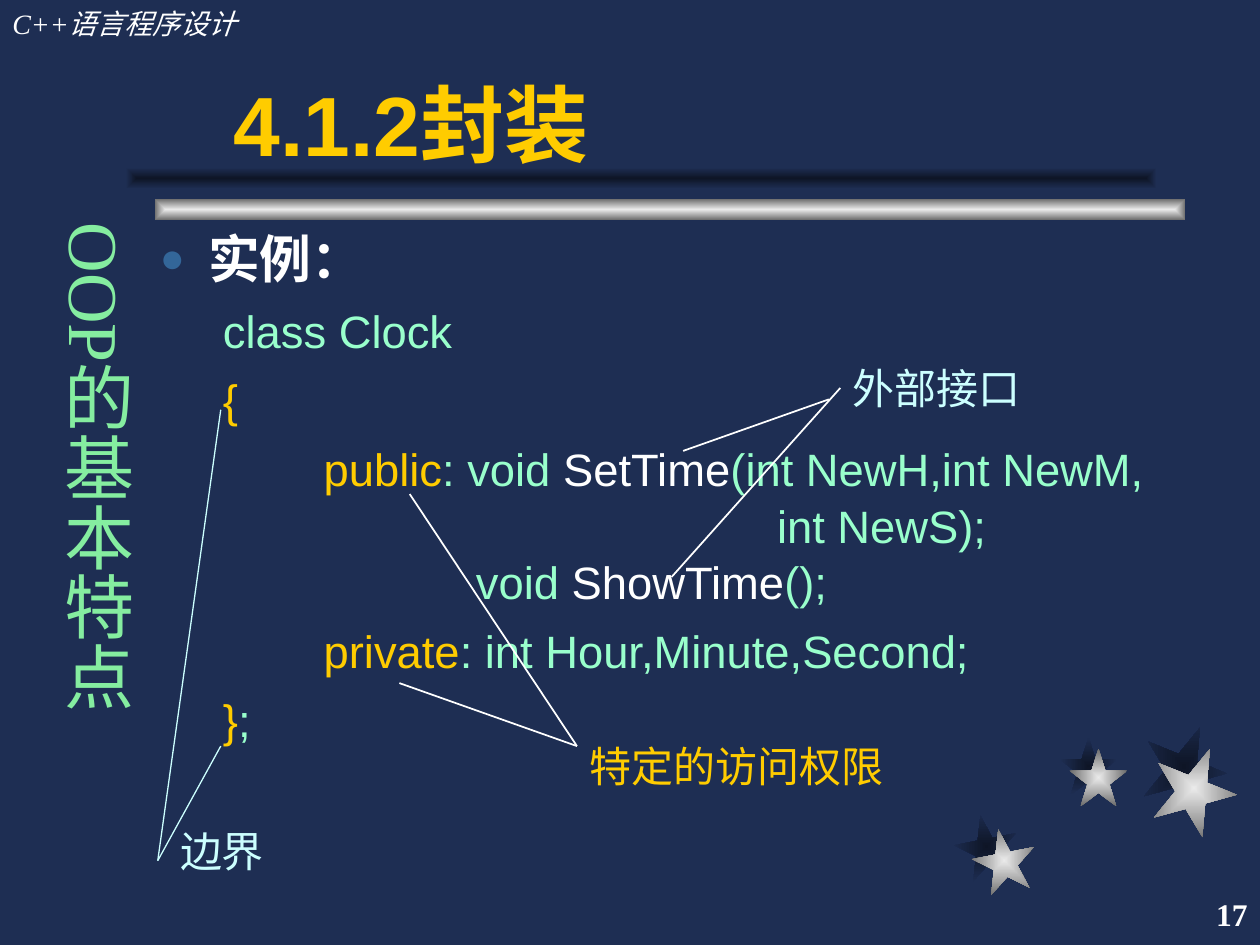
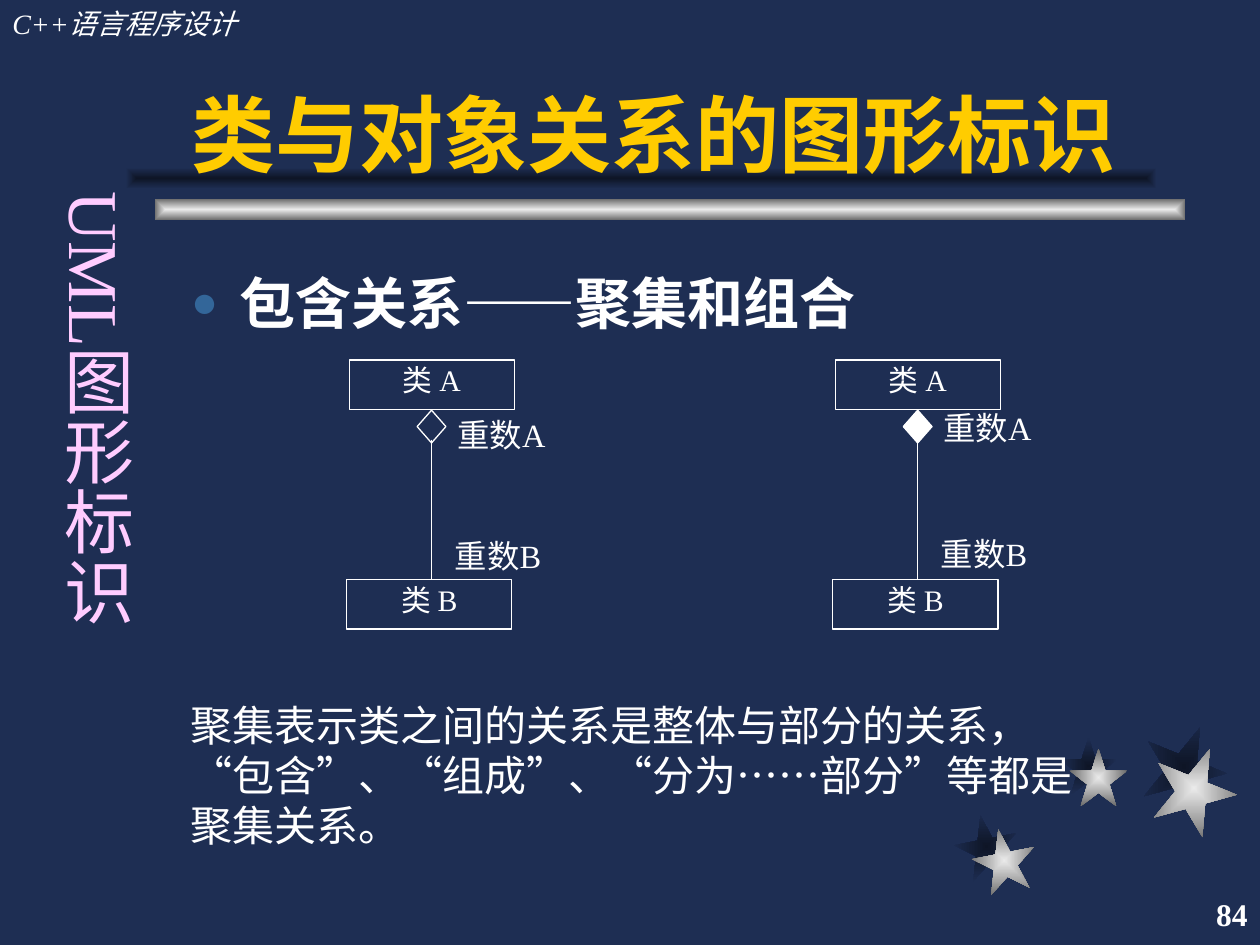
from lxml import etree
from pptx import Presentation
from pptx.dml.color import RGBColor
from pptx.enum.lang import MSO_LANGUAGE_ID
from pptx.enum.shapes import MSO_CONNECTOR, MSO_SHAPE
from pptx.enum.text import MSO_ANCHOR, MSO_AUTO_SIZE, PP_ALIGN
from pptx.oxml import parse_xml
from pptx.oxml.ns import nsdecls, qn
from pptx.util import Cm, Pt

RECT, STAR, DIAMOND = MSO_SHAPE.RECTANGLE, MSO_SHAPE.STAR_5_POINT, MSO_SHAPE.DIAMOND
TOP, MIDDLE, BOTTOM = MSO_ANCHOR.TOP, MSO_ANCHOR.MIDDLE, MSO_ANCHOR.BOTTOM
LEFT, CENTER, RIGHT = PP_ALIGN.LEFT, PP_ALIGN.CENTER, PP_ALIGN.RIGHT
STRAIGHT = MSO_CONNECTOR.STRAIGHT
CHINESE = MSO_LANGUAGE_ID.SIMPLIFIED_CHINESE
SANS, SERIF = "Arial", "Times New Roman"

COLORS = {
    "navy": "1E2E53", "shade": "0E1526", "silver": "EAEAEA", "gray": "6C6C6C",
    "white": "FFFFFF", "gold": "FFCC00", "mint": "99FFCC", "ice": "CCFFFF",
    "green": "85EDA0", "pink": "FFCCFF", "bullet": "336699",
}

# All lengths are in centimetres; boxes are left, top, width, height.
HEADER = "C++语言程序设计"
BAND_SIZE = (20.78, 0.43)
BANDS = [((3.12, 4.01), ("silver", "gray")), ((2.54, 3.38), ("shade", "navy"))]
# left, top, size, rotation, shadow shift left and up
STARS = [
    (19.61, 16.71, 1.27, 349, 0.36, 0.28),
    (21.56, 15.09, 1.17, 0, 0.2, 0.23),
    (23.22, 15.04, 1.7, 22, 0.2, 0.43),
]

ENCAPSULATION = {
    "number": "17",
    "title": ("4.1.2封装", (4.45, 1.27, 19.25, 2.34), 0.8),
    "side": ("OOP的基本特点", "green", 4.24),
    "body": (2.97, 4.45, 22.65, 10.8),
    "heading": ("实例：", 29.6),
}
# left margin, space before, runs
CODE = [
    (1.27, 7, [("class Clock", "mint")]),
    (1.27, 7, [("{", "gold")]),
    (3.3, 7, [("public", "gold"), (": void ", "mint"), ("SetTime", "white"),
              ("(int NewH,int NewM,", "mint")]),
    (12.44, 0, [("int NewS);", "mint")]),
    (6.37, 0, [("void ", "mint"), ("ShowTime", "white"), ("();", "mint")]),
    (3.3, 7, [("private", "gold"), (": int Hour,Minute,Second;", "mint")]),
    (1.27, 7, [("}", "gold"), (";", "mint")]),
]
# text, text colour, box, line colour, line width, lines
CALLOUTS = [
    ("边界", "ice", (3.38, 16.51, 2.54, 1.27), "ice", 0.75,
     [(4.45, 8.26, 3.18, 17.35), (4.45, 15.04, 3.18, 17.35)]),
    ("外部接口", "ice", (16.94, 7.19, 4.45, 1.27), "white", 1,
     [(13.54, 11.63, 16.94, 7.82), (13.77, 9.09, 16.71, 8.05)]),
    ("特定的访问权限", "gold", (11.63, 14.81, 6.55, 1.27), "white", 1,
     [(8.26, 9.96, 11.63, 15.04), (8.05, 13.77, 11.63, 15.04)]),
]

RELATIONS = {
    "number": "84",
    "title": ("类与对象关系的图形标识", (3.6, 0.64, 19.89, 3.18), 1),
    "side": ("UML图形标识", "pink", 3.61),
    "body": (3.6, 5.28, 20.12, 11.43),
    "heading": ("包含关系——聚集和组合", 32),
}
# left, diamond fill, tops of the two multiplicities
DIAGRAMS = [(6.99, None, (8.33, 10.77)), (16.79, "white", (8.2, 10.74))]
# name, shift from diagram left, class box top
CLASSES = [("A", 0.05, 7.26), ("B", 0, 11.69)]
NOTE = ("聚集表示类之间的关系是整体与部分的关系，“包含”、“组成”、“分为……部分”等都是聚集关系。",
        (3.6, 13.97, 19.05, 4.85))


def rgb(name):
    return RGBColor.from_string(COLORS[name])


def add_run(p, text, size, color, font=SERIF, **style):
    r = p.add_run()
    r.text = text
    values = {"name": font, "size": Pt(size), "language_id": CHINESE, **style}
    for key, value in values.items():
        setattr(r.font, key, value)
    r.font.color.rgb = rgb(color)


def place(shape, box):
    for key, value in zip(("left", "top", "width", "height"), box):
        setattr(shape, key, Cm(value))


def set_frame(tf, **style):
    values = {"word_wrap": True, "auto_size": MSO_AUTO_SIZE.NONE,
              "vertical_anchor": TOP, **style}
    for key, value in values.items():
        setattr(tf, key, value)


def set_paragraph(p, **style):
    values = {"alignment": LEFT, "line_spacing": 1.0, "space_before": Pt(0), **style}
    for key, value in values.items():
        setattr(p, key, value)


def add_text(s, text, box, size, color, align=LEFT, spacing=1.0, frame=None, **style):
    sp = s.shapes.add_textbox(*map(Cm, box))
    set_frame(sp.text_frame, **(frame or {}))
    p = sp.text_frame.paragraphs[0]
    set_paragraph(p, alignment=align, line_spacing=spacing)
    add_run(p, text, size, color, **style)
    return sp


def add_line(s, ends, color, width):
    line = s.shapes.add_connector(STRAIGHT, *map(Cm, ends))
    line.line.color.rgb = rgb(color)
    line.line.width = Pt(width)
    etree.SubElement(line.element.spPr, qn("a:effectLst"))


def add_outline(s, kind, box, fill=None):
    sp = s.shapes.add_shape(kind, *map(Cm, box))
    sp.shadow.inherit = False
    if fill:
        sp.fill.solid()
        sp.fill.fore_color.rgb = rgb(fill)
    else:
        sp.fill.background()
    sp.line.color.rgb = rgb("white")
    sp.line.width = Pt(0.75)
    return sp


def add_glow(s, kind, box, inner, outer, rotation=0):
    """Add a borderless shape whose colour runs from its centre to its edge."""
    sp = s.shapes.add_shape(kind, *map(Cm, box))
    sp.shadow.inherit = False
    sp.line.fill.background()
    sp.rotation = rotation
    sp.element.spPr.find(qn("a:prstGeom")).addnext(parse_xml(
        f'<a:gradFill {nsdecls("a")} rotWithShape="1"><a:gsLst>'
        f'<a:gs pos="0"><a:srgbClr val="{COLORS[inner]}"/></a:gs>'
        f'<a:gs pos="100000"><a:srgbClr val="{COLORS[outer]}"/></a:gs></a:gsLst>'
        '<a:path path="rect"><a:fillToRect l="50000" t="50000" r="50000" b="50000"/>'
        '</a:path></a:gradFill>'))
    return sp


def build_master(prs, s):
    """Draw the shared parts on a slide and move them to the master."""
    fill = prs.slide_master.background.fill
    fill.solid()
    fill.fore_color.rgb = rgb("navy")
    shared = [add_glow(s, STAR, (x - dx, y - dy, size, size), "shade", "navy", turn)
              for x, y, size, turn, dx, dy in STARS]
    shared += [add_glow(s, STAR, (x, y, size, size), "silver", "gray", turn)
               for x, y, size, turn, _, _ in STARS]
    shared += [add_glow(s, RECT, corner + BAND_SIZE, *colors) for corner, colors in BANDS]
    shared.append(add_text(s, HEADER, (0, 0, 7.82, 0.94), 16, "white", italic=True))
    for number, sp in enumerate(shared, 100):
        sp.element.xpath(".//p:cNvPr")[0].set("id", str(number))
        prs.slide_master.shapes.element.append(sp.element)


def set_bullet(p, margin, hanging=0, char=None):
    pPr = p._p.get_or_add_pPr()
    pPr.set("marL", str(Cm(margin)))
    pPr.set("indent", str(-Cm(hanging)))
    if not char:
        etree.SubElement(pPr, qn("a:buNone"))
        return
    color = etree.SubElement(pPr, qn("a:buClr"))
    etree.SubElement(color, qn("a:srgbClr"), val=COLORS["bullet"])
    etree.SubElement(pPr, qn("a:buSzPct"), val="80000")
    etree.SubElement(pPr, qn("a:buChar"), char=char)


def fill_frame(s, content):
    """Fill the title, heading, side label and number; return the body frame."""
    text, box, spacing = content["title"]
    title, body = s.shapes.title, s.placeholders[1]
    place(title, box)
    set_frame(title.text_frame, vertical_anchor=BOTTOM)
    p = title.text_frame.paragraphs[0]
    set_paragraph(p, line_spacing=float(spacing))
    add_run(p, text, 48, "gold", SANS, bold=True)

    place(body, content["body"])
    set_frame(body.text_frame)
    p = body.text_frame.paragraphs[0]
    set_paragraph(p, space_before=Pt(8))
    set_bullet(p, 0.97, 0.97, "●")
    text, size = content["heading"]
    add_run(p, text, size, "white", SANS, bold=True)

    text, color, top = content["side"]
    insets = {"margin_left": Cm(0.13), "margin_right": Cm(0.13),
              "margin_top": Cm(0.25), "margin_bottom": Cm(0.25)}
    side = add_text(s, text, (0.76, top, 2.18, 13.13), 40, color, frame=insets)
    side.text_frame._txBody.bodyPr.set("vert", "eaVert")
    add_text(s, content["number"], (20.12, 17.78, 5.28, 1.27), 18, "white", RIGHT,
             frame={"vertical_anchor": MIDDLE}, bold=True)
    return body.text_frame


def build_encapsulation(s):
    tf = fill_frame(s, ENCAPSULATION)
    for margin, before, runs in CODE:
        p = tf.add_paragraph()
        set_paragraph(p, space_before=Pt(before), line_spacing=1.04)
        set_bullet(p, margin)
        for text, color in runs:
            add_run(p, text, 25.9, color, SANS, bold=False)
    for text, color, box, line_color, width, lines in CALLOUTS:
        add_text(s, text, box, 24, color)
        for ends in lines:
            add_line(s, ends, line_color, width)


def build_relations(s):
    fill_frame(s, RELATIONS)
    for left, fill, tops in DIAGRAMS:
        for (name, shift, top), label_top in zip(CLASSES, tops):
            x = left + shift
            sp = add_outline(s, RECT, (x, top, 3.33, 0.99))
            set_frame(sp.text_frame)
            p = sp.text_frame.paragraphs[0]
            set_paragraph(p, alignment=CENTER, line_spacing=0.9)
            add_run(p, f"类 {name}", 17, "white")
            add_text(s, f"重数{name}", (x + 1.93, label_top, 3.33, 1.07), 18.5, "white",
                     spacing=0.9)
        add_outline(s, DIAMOND, (left + 1.42, 8.27, 0.58, 0.66), fill)
        add_line(s, (left + 1.71, 8.86, left + 1.71, 11.68), "white", 0.75)
    text, box = NOTE
    add_text(s, text, box, 24, "white")


def main():
    prs = Presentation()
    prs.slide_width, prs.slide_height = Cm(25.4), Cm(19.05)
    layout = prs.slide_layouts[1]
    slides = [prs.slides.add_slide(layout) for _ in range(2)]
    build_master(prs, slides[0])
    for build, s in zip((build_encapsulation, build_relations), slides):
        build(s)
    prs.save("out.pptx")


if __name__ == "__main__":
    main()
